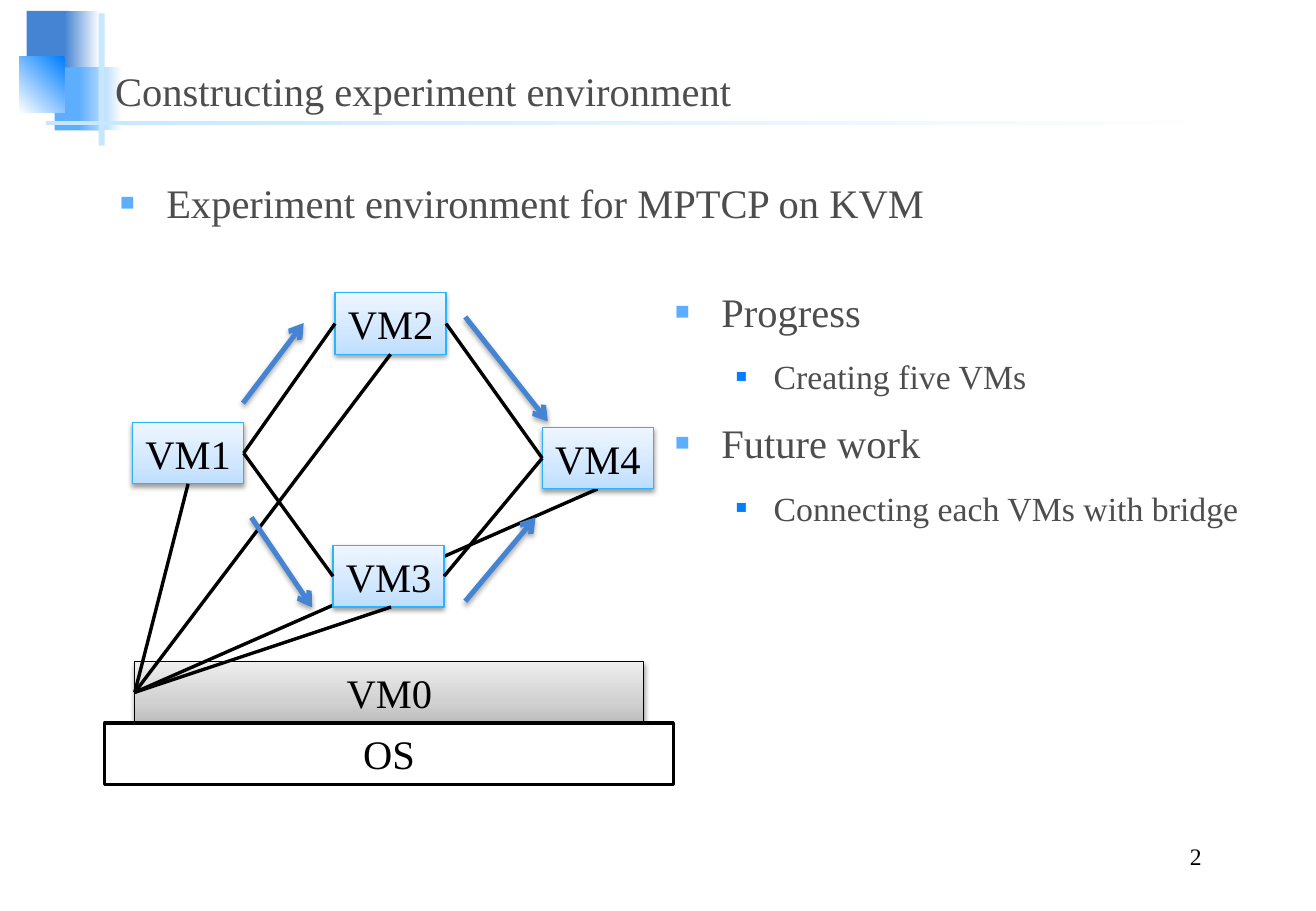
from dataclasses import dataclass

from lxml import etree
from pptx import Presentation
from pptx.dml.color import RGBColor
from pptx.enum.shapes import MSO_CONNECTOR, MSO_SHAPE
from pptx.enum.text import MSO_ANCHOR, PP_ALIGN
from pptx.oxml.ns import qn
from pptx.util import Pt

RECTANGLE = MSO_SHAPE.RECTANGLE
STRAIGHT = MSO_CONNECTOR.STRAIGHT
TOP, MIDDLE, BOTTOM = MSO_ANCHOR.TOP, MSO_ANCHOR.MIDDLE, MSO_ANCHOR.BOTTOM
LEFT, CENTER, RIGHT = PP_ALIGN.LEFT, PP_ALIGN.CENTER, PP_ALIGN.RIGHT


@dataclass(frozen=True)
class Theme:
    font: str = "Times New Roman"
    heading_size: int = 24
    detail_size: int = 20
    number_size: int = 14
    text: str = "4D4D4D"
    black: str = "000000"
    white: str = "FFFFFF"
    blue: str = "4584D3"
    sky: str = "5EAEFF"
    bright: str = "0080FF"
    pale: str = "C6E7FC"
    vm_border: str = "2BB4FC"
    vm_fill: tuple = ((0, "BDDEFF"), (35, "D1E7FF"), (100, "EEF6FF"))
    host_fill: tuple = ((0, "BDBDBD"), (35, "D1D1D1"), (100, "EEEEEE"))


THEME = Theme()

# Per list level: left margin, hanging indent, bullet colour, bullet percent, text size
LEVELS = (
    (27.4, -27.4, THEME.sky, 60, THEME.heading_size),
    (58.3, -22.3, THEME.bright, 55, THEME.detail_size),
)

VM_SIZE = (65.8, 36.4)
VM_POSITIONS = {
    "VM2": (198.6, 173.6),
    "VM3": (197.4, 323.4),
    "VM1": (78.6, 250.4),
    "VM4": (321.4, 253.4),
}
HOST_BOX = (79.9, 392.2, 301.7, 36.4)
HOST_PORT = (79.9, 410.4)


def add_child(parent, tag, **attributes):
    child = etree.SubElement(parent, qn(tag))
    for name, value in attributes.items():
        child.set(name, str(value))
    return child


def points(values):
    return [Pt(value) for value in values]


def set_gradient(shape, stops, angle):
    shape.fill.gradient()
    shape.fill.gradient_angle = (360 - angle) % 360
    stop_list = shape._element.spPr.find(qn("a:gradFill")).find(qn("a:gsLst"))
    for stop in list(stop_list):
        stop_list.remove(stop)
    for position, color in stops:
        stop = add_child(stop_list, "a:gs", pos=position * 1000)
        add_child(stop, "a:srgbClr", val=color)


def add_shadow(effects, opacity, distance):
    shadow = add_child(effects, "a:outerShdw", blurRad=Pt(3.1), dist=Pt(distance),
                       dir=90 * 60000, rotWithShape=0)
    color = add_child(shadow, "a:srgbClr", val=THEME.black)
    add_child(color, "a:alpha", val=opacity * 1000)


def write_text(paragraph, text, size=THEME.heading_size, color=THEME.black, align=LEFT):
    paragraph.text = text
    paragraph.alignment = align
    paragraph.font.name = THEME.font
    paragraph.font.size = Pt(size)
    paragraph.font.color.rgb = RGBColor.from_string(color)


def add_box(slide, box, fill, angle=0, border=None, border_width=0.75, shadow=False, text=None):
    shape = slide.shapes.add_shape(RECTANGLE, *points(box))
    if isinstance(fill, str):
        shape.fill.solid()
        shape.fill.fore_color.rgb = RGBColor.from_string(fill)
    else:
        set_gradient(shape, fill, angle)
    if border:
        shape.line.color.rgb = RGBColor.from_string(border)
        shape.line.width = Pt(border_width)
    else:
        shape.line.fill.background()
    shape.shadow.inherit = False
    if shadow:
        add_shadow(shape._element.spPr.find(qn("a:effectLst")), 38, 1.6)
    if text:
        shape.text_frame.word_wrap = False
        shape.text_frame.vertical_anchor = MIDDLE
        write_text(shape.text_frame.paragraphs[0], text, align=CENTER)


def add_line(slide, start, end, color=THEME.black, width=2, arrow=False):
    connector = slide.shapes.add_connector(STRAIGHT, *points(start + end))
    connector.line.color.rgb = RGBColor.from_string(color)
    connector.line.width = Pt(width)
    properties = connector._element.spPr
    effects = add_child(properties, "a:effectLst")
    if arrow:
        add_child(properties.find(qn("a:ln")), "a:tailEnd", type="arrow")
        add_shadow(effects, 35, 1.8)


def add_text_frame(slide, box, anchor=TOP):
    frame = slide.shapes.add_textbox(*points(box)).text_frame
    frame.word_wrap = True
    frame.vertical_anchor = anchor
    return frame


def add_label(slide, box, text, **text_format):
    frame = add_text_frame(slide, box, anchor=BOTTOM)
    write_text(frame.paragraphs[0], text, **text_format)


def add_bullets(slide, box, items):
    frame = add_text_frame(slide, box)
    for index, (level, text) in enumerate(items):
        paragraph = frame.add_paragraph() if index else frame.paragraphs[0]
        margin, indent, color, percent, size = LEVELS[level]
        properties = paragraph._p.get_or_add_pPr()
        properties.set("marL", str(Pt(margin)))
        properties.set("indent", str(Pt(indent)))
        add_child(add_child(properties, "a:buClr"), "a:srgbClr", val=color)
        add_child(properties, "a:buSzPct", val=percent * 1000)
        add_child(properties, "a:buFont", typeface=THEME.font)
        add_child(properties, "a:buChar", char="■")
        paragraph.level = level
        paragraph.line_spacing = 1.2
        paragraph.space_before = Pt(7.3 if index else 0)
        write_text(paragraph, text, size=size, color=THEME.text)


def vm_port(name, side):
    left, top = VM_POSITIONS[name]
    width, height = VM_SIZE
    return {
        "left": (left, top + height / 2),
        "right": (left + width, top + height / 2),
        "bottom": (left + width / 2, top + height),
    }[side]


def add_decoration(slide):
    def fade(first, last=THEME.white):
        return ((0, first), (100, last))

    for box, fill, angle in (
        ((15.8, 6.5, 25.2, 37.4), THEME.blue, 0),
        ((38.2, 6.5, 20.9, 37.4), fade(THEME.blue), 0),
        ((32.4, 39.9, 29.5, 37.4), THEME.sky, 0),
        ((46.8, 39.9, 25.9, 37.4), fade(THEME.sky), 0),
        ((11.5, 33.8, 26.6, 33.1), fade(THEME.white, THEME.bright), 315),
        ((58.5, 7.9, 3.6, 78.5), THEME.pale, 0),
        ((27.4, 72, 702, 2.2), fade(THEME.pale), 0),
    ):
        add_box(slide, box, fill, angle)


def add_network(slide):
    # Host, with the VM4 link running behind the other machines
    add_box(slide, HOST_BOX, THEME.host_fill, 270, border=THEME.black, shadow=True, text="VM0")
    add_line(slide, HOST_PORT, vm_port("VM4", "bottom"))
    for name, position in VM_POSITIONS.items():
        add_box(slide, position + VM_SIZE, THEME.vm_fill, 270,
                border=THEME.vm_border, shadow=True, text=name)

    # Links between machines, then links to the host
    for relay in ("VM2", "VM3"):
        add_line(slide, vm_port("VM1", "right"), vm_port(relay, "left"))
        add_line(slide, vm_port(relay, "right"), vm_port("VM4", "left"))
    for end in (vm_port("VM1", "bottom"), vm_port("VM2", "bottom"), (231.8, 359.8)):
        add_line(slide, HOST_PORT, end)
    add_box(slide, (62.1, 428.6, 337, 36.4), THEME.white,
            border=THEME.black, border_width=2, text="OS")

    # Traffic directions
    for start, end in (
        ((144, 239), (180, 191.5)),
        ((149, 306.7), (185, 360)),
        ((275.8, 187.9), (324.7, 249.8)),
        ((275.8, 356.4), (317.5, 306.7)),
    ):
        add_line(slide, start, end, color=THEME.blue, width=3, arrow=True)


def main():
    presentation = Presentation()
    presentation.slide_width, presentation.slide_height = Pt(780), Pt(540)
    slide = presentation.slides.add_slide(presentation.slide_layouts[6])

    add_decoration(slide)
    add_label(slide, (61.2, 25.9, 668.9, 45.4), "Constructing experiment environment",
              color=THEME.text)
    add_bullets(slide, (64.1, 96, 652.3, 55), [(0, "Experiment environment for MPTCP on KVM")])
    add_network(slide)
    add_bullets(slide, (393.1, 160.7, 367.9, 336), [
        (0, "Progress"),
        (1, "Creating five VMs"),
        (0, "Future work"),
        (1, "Connecting each VMs with bridge"),
    ])
    add_label(slide, (556.6, 496.8, 162.7, 22.3), "2", size=THEME.number_size, align=RIGHT)
    presentation.save("out.pptx")


if __name__ == "__main__":
    main()
